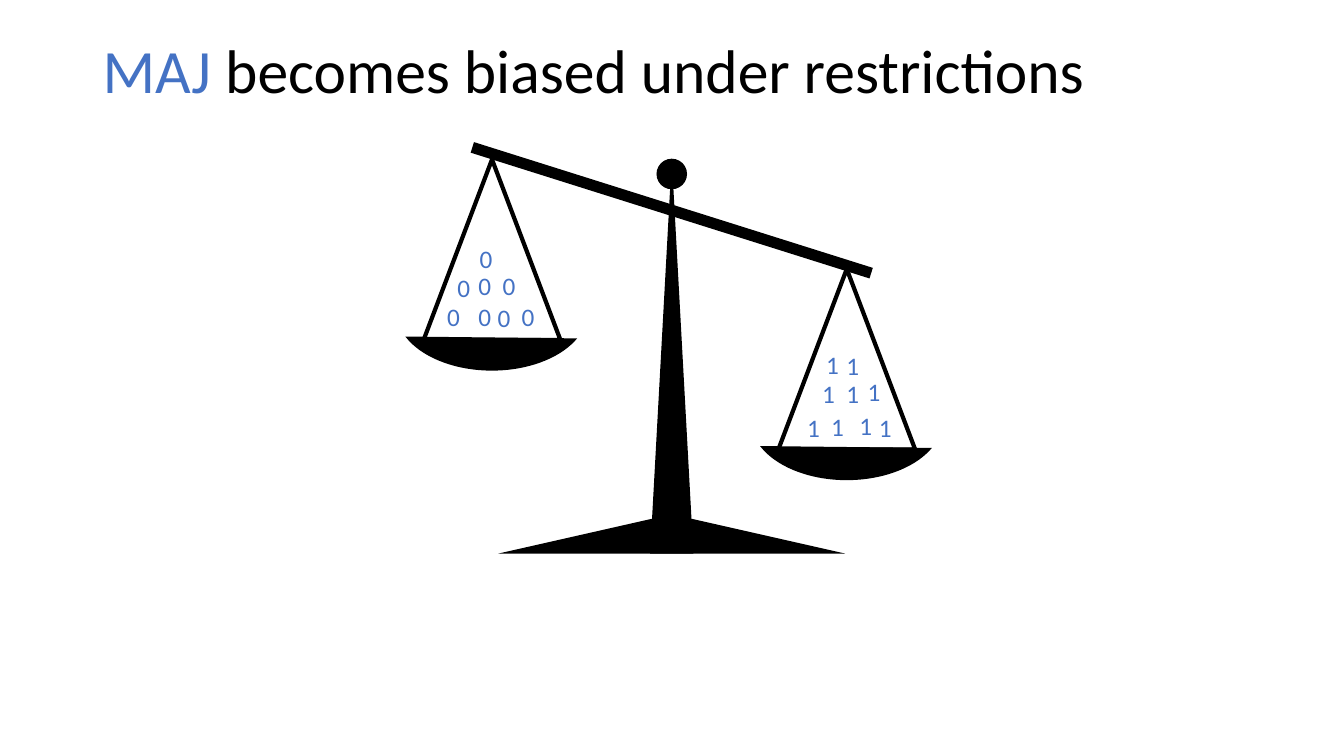
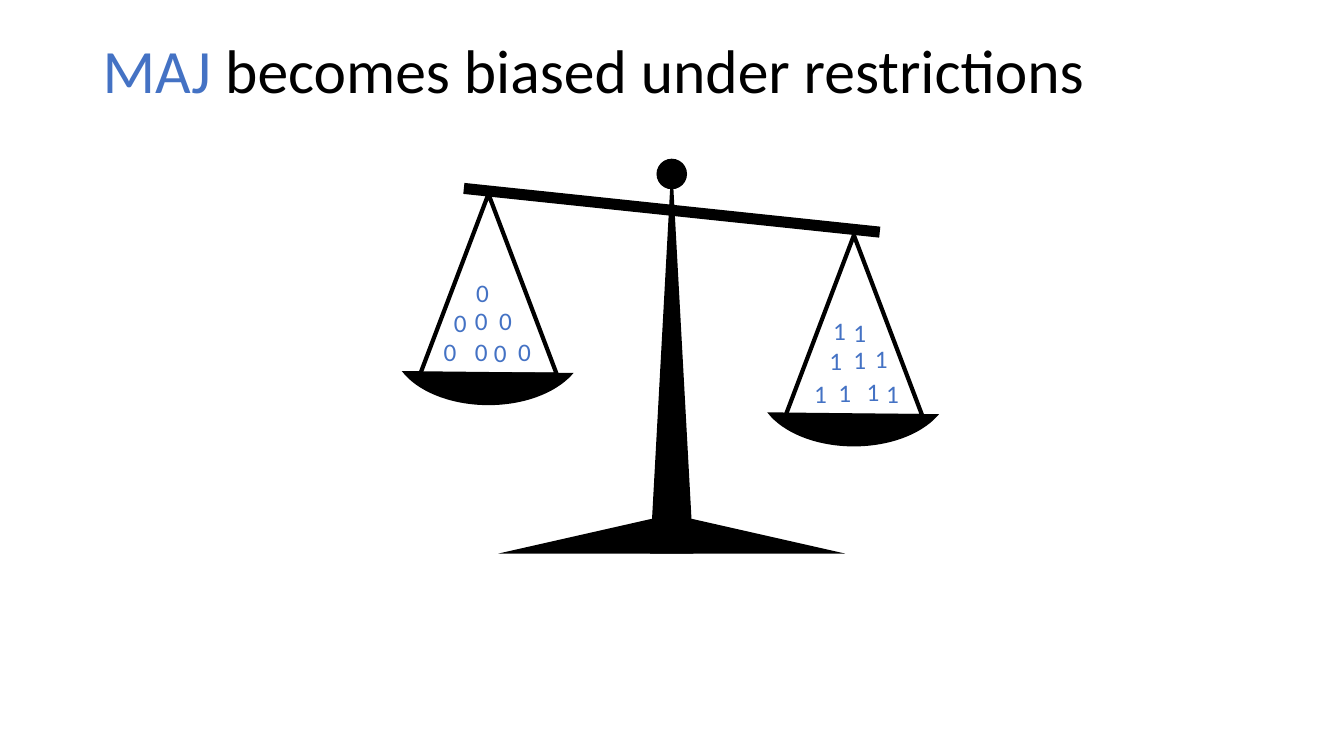
from pptx import Presentation
from pptx.dml.color import RGBColor
from pptx.enum.shapes import MSO_SHAPE
from pptx.enum.text import MSO_ANCHOR, MSO_AUTO_SIZE, PP_ALIGN
from pptx.util import Cm, Pt

BLACK = RGBColor(0, 0, 0)
BLUE = RGBColor(0x44, 0x72, 0xC4)
FONT = "Calibri"

CHORD = MSO_SHAPE.CHORD
OVAL = MSO_SHAPE.OVAL
RECT = MSO_SHAPE.RECTANGLE
WEDGE = MSO_SHAPE.ISOSCELES_TRIANGLE
MIDDLE = MSO_ANCHOR.MIDDLE
GROW = MSO_AUTO_SIZE.SHAPE_TO_FIT_TEXT
CENTER = PP_ALIGN.CENTER
LEFT = PP_ALIGN.LEFT

# Stand box, in cm, and the drop from its top to the middle of the beam
STAND = (12.56, 4, 8.74, 9.95)
DROP = 1.3

# Beam tilt, then the pan hooks from the top middle of the stand, by digit
SCALES = (
    (17.5, {"1": (4.41, 2.78), "0": (-4.53, 0.02)}),
    (6, {"1": (4.59, 1.93), "0": (-4.62, 0.89)}),
)

# Digits on the pans: middle x and top y from the hook, in cm
DIGITS = (
    ("0", -0.97, 3.45),
    ("1", -0.84, 3.48), ("1", -0.46, 2.64), ("1", 0.48, 3.43),
    ("0", -0.18, 2.67), ("1", -0.23, 3.45), ("0", 0.3, 3.48),
    ("1", -0.36 + 0.51, 1.93), ("1", 0.15, 2.62), ("0", 0.91, 3.45),
    ("1", 0.69, 2.59), ("1", 0.97, 3.48), ("0", -0.18, 3.45),
    ("0", -0.71, 2.72), ("1", -0.36, 1.9), ("0", -0.15, 1.98),
    ("0", 0.43, 2.67),
)


def add_solid(shapes, kind, x, y, w, h):
    shape = shapes.add_shape(kind, Cm(x), Cm(y), Cm(w), Cm(h))
    shape.shadow.inherit = False
    shape.fill.solid()
    shape.fill.fore_color.rgb = BLACK
    shape.line.fill.background()
    return shape


def style_title(layout):
    """Place the title once for all slides."""
    title = layout.placeholders[0]
    title.left, title.top = Cm(2.33), Cm(0)
    title.width, title.height = Cm(29.21), Cm(3.7)
    title.text_frame.vertical_anchor = MIDDLE


def add_title(slide, key, rest):
    para = slide.shapes.title.text_frame.paragraphs[0]
    para.alignment = LEFT
    para.line_spacing = 0.9
    para.font.name = FONT
    para.font.size = Pt(44)
    for text, color in ((key, BLUE), (rest, BLACK)):
        run = para.add_run()
        run.text = text
        run.font.color.rgb = color


def add_stand(slide, x, y, w, h):
    parts = slide.shapes.add_group_shape().shapes
    mid = x + w / 2
    base, post, knob = 0.99, 1.09, 0.77
    add_solid(parts, WEDGE, x, y + h - base, w, base)
    add_solid(parts, WEDGE, mid - post / 2, y, post, h)
    add_solid(parts, OVAL, mid - knob / 2, y, knob, knob)


def add_beam(slide, mid, y, tilt):
    w, h = 10.54, 0.28
    beam = add_solid(slide.shapes, RECT, mid - w / 2, y - h / 2, w, h)
    beam.rotation = tilt


def add_pan(slide, x, y):
    """Hang cords and a bowl from the hook at x, y."""
    parts = slide.shapes.add_group_shape().shapes
    span, bowl = 3.45, 4.83
    cords = add_solid(parts, WEDGE, x - span / 2, y, span, 4.55)
    cords.fill.background()
    cords.line.color.rgb = BLACK
    cords.line.width = Pt(3)
    dish = add_solid(parts, CHORD, x - bowl / 2, y + 2.32, bowl, 3)
    dish.adjustments[0] = 10.666
    dish.adjustments[1] = 98.189


def add_digit(slide, mid, y, digit):
    w, h = 1.12, 1.02
    box = slide.shapes.add_textbox(Cm(mid - w / 2), Cm(y), Cm(w), Cm(h))
    frame = box.text_frame
    frame.word_wrap = True
    frame.auto_size = GROW
    para = frame.paragraphs[0]
    para.text = digit
    para.alignment = CENTER
    para.font.name = FONT
    para.font.size = Pt(18)
    para.font.color.rgb = BLUE


def add_scale(slide, x, y, w, h, tilt, hooks):
    mid = x + w / 2
    add_stand(slide, x, y, w, h)
    add_beam(slide, mid, y + DROP, tilt)
    for dx, dy in hooks.values():
        add_pan(slide, mid + dx, y + dy)


def add_digits(slide, mid, y, hooks):
    for digit, dx, dy in DIGITS:
        left, top = hooks[digit]
        add_digit(slide, mid + left + dx, y + top + dy, digit)


def main():
    deck = Presentation()
    deck.slide_width, deck.slide_height = Cm(33.87), Cm(19.05)
    layout = deck.slide_layouts.get_by_name("Title Only")
    style_title(layout)
    x, y, w, _ = STAND
    for tilt, hooks in SCALES:
        slide = deck.slides.add_slide(layout)
        add_title(slide, "MAJ", " becomes biased under restrictions")
        add_scale(slide, *STAND, tilt, hooks)
        add_digits(slide, x + w / 2, y, hooks)
    deck.save("out.pptx")


if __name__ == "__main__":
    main()
